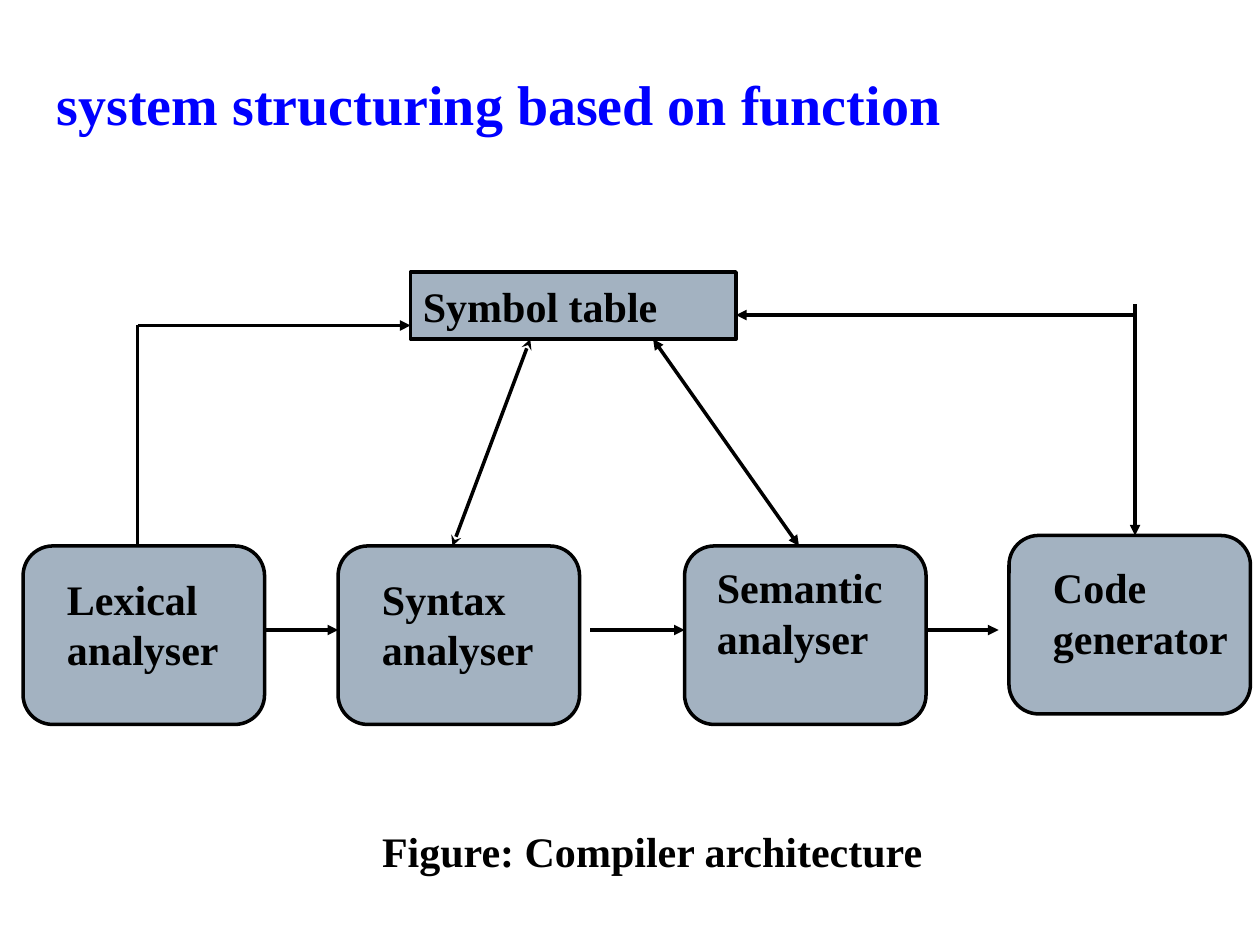
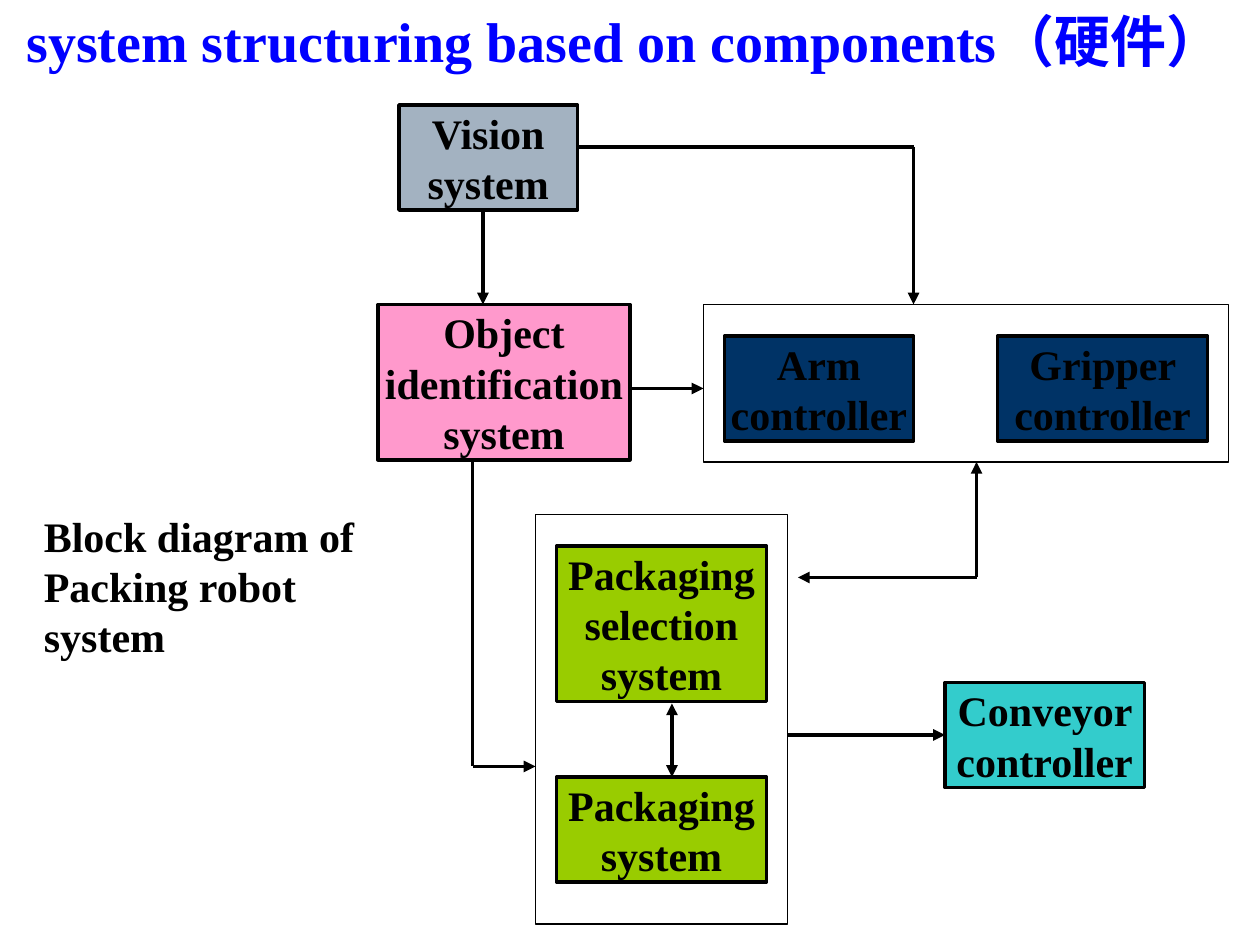
from dataclasses import dataclass

from lxml.etree import SubElement
from pptx import Presentation
from pptx.dml.color import RGBColor
from pptx.enum.shapes import MSO_CONNECTOR, MSO_SHAPE
from pptx.enum.text import MSO_ANCHOR, MSO_AUTO_SIZE, PP_ALIGN
from pptx.oxml.ns import qn
from pptx.shapes.autoshape import Shape
from pptx.slide import Slide
from pptx.text.text import TextFrame
from pptx.util import Emu, Pt

# Shared look
FONT = "Times New Roman"
BLACK = RGBColor(0x00, 0x00, 0x00)
BLUE = RGBColor(0x00, 0x00, 0xFF)
STEEL = RGBColor(0xA3, 0xB2, 0xC1)
PINK = RGBColor(0xFF, 0x99, 0xCC)
LIME = RGBColor(0x99, 0xCC, 0x00)
NAVY = RGBColor(0x00, 0x33, 0x66)
TEAL = RGBColor(0x33, 0xCC, 0xCC)

SCALE = 7620  # EMU per px, 120 px to the inch
PAD_X, PAD_Y = 12, 6


@dataclass
class Box:
    x: int
    y: int
    w: int
    h: int
    fill: RGBColor | None = None
    text: str = ""
    kind: MSO_SHAPE = MSO_SHAPE.RECTANGLE
    align: PP_ALIGN = PP_ALIGN.CENTER
    pad: int = 0
    line: float = 2

    def sites(self) -> list[tuple[int, int]]:
        """Side middles, in the order of the connection sites."""
        mid_x, mid_y = self.x + self.w // 2, self.y + self.h // 2
        return [(mid_x, self.y), (self.x, mid_y),
                (mid_x, self.y + self.h), (self.x + self.w, mid_y)]


@dataclass
class Label:
    x: int
    y: int
    w: int
    h: int
    text: str


@dataclass
class Link:
    start: tuple[int, int]
    end: tuple[int, int]
    head: str = ""
    tail: str = "triangle"


def px(num: int) -> Emu:
    return Emu(num * SCALE)


def write(frame: TextFrame, text: str, size: int = 24, color: RGBColor = BLACK,
          align: PP_ALIGN = PP_ALIGN.LEFT, pad: tuple[int, int] = (PAD_X, PAD_Y),
          anchor: MSO_ANCHOR = MSO_ANCHOR.TOP) -> None:
    frame.text = text
    frame.word_wrap = True
    frame.auto_size = MSO_AUTO_SIZE.NONE
    frame.vertical_anchor = anchor
    frame.margin_left = frame.margin_right = px(pad[0])
    frame.margin_top = frame.margin_bottom = px(pad[1])
    para = frame.paragraphs[0]
    para.alignment = align
    font = para.font
    font.name, font.size, font.bold = FONT, Pt(size), True
    font.color.rgb = color


def add_page(deck: Presentation, title: str, x: int, y: int) -> Slide:
    page = deck.slides.add_slide(deck.slide_layouts[5])
    head = page.shapes.title
    head.left, head.top = px(x), px(y)
    head.width, head.height = px(1200 - x), px(76)
    write(head.text_frame, title, 32, BLUE)
    return page


def draw_box(page: Slide, box: Box) -> Shape:
    shape = page.shapes.add_shape(
        box.kind, px(box.x), px(box.y), px(box.w), px(box.h))
    shape.shadow.inherit = False
    if box.fill is None:
        shape.fill.background()
    else:
        shape.fill.solid()
        shape.fill.fore_color.rgb = box.fill
    shape.line.color.rgb = BLACK
    shape.line.width = Pt(box.line)
    if box.text:
        write(shape.text_frame, box.text, align=box.align,
              pad=(box.pad, 0), anchor=MSO_ANCHOR.MIDDLE)
    return shape


def draw_label(page: Slide, label: Label) -> None:
    area = page.shapes.add_textbox(
        px(label.x), px(label.y), px(label.w), px(label.h))
    write(area.text_frame, label.text)


def draw_link(page: Slide, link: Link, width: float,
              nodes: list[tuple[Box, Shape]]) -> None:
    wire = page.shapes.add_connector(
        MSO_CONNECTOR.STRAIGHT, *map(px, link.start + link.end))
    wire.line.color.rgb = BLACK
    wire.line.width = Pt(width)
    edge = wire.line._get_or_add_ln()
    for tag, tip in (("a:headEnd", link.head), ("a:tailEnd", link.tail)):
        if tip:
            SubElement(edge, qn(tag), type=tip)
    SubElement(wire._element.spPr, qn("a:effectLst"))
    # Join ends that meet the middle of a side
    for box, shape in nodes:
        for site, spot in enumerate(box.sites()):
            if spot == link.start:
                wire.begin_connect(shape, site)
            if spot == link.end:
                wire.end_connect(shape, site)


def draw_all(page: Slide, boxes: list[Box], links: list[Link],
             labels: list[Label], width: float) -> None:
    nodes = [(box, draw_box(page, box)) for box in boxes]
    for link in links:
        draw_link(page, link, width, nodes)
    for label in labels:
        draw_label(page, label)


def add_stages(deck: Presentation) -> None:
    page = add_page(deck, "system structuring based on function", 42, 60)
    boxes = [Box(391, 259, 310, 64, STEEL, "Symbol table",
                 align=PP_ALIGN.LEFT, pad=PAD_X)]
    # Compiler stages
    boxes += [Box(x, y, 230, 170, STEEL, kind=MSO_SHAPE.ROUNDED_RECTANGLE)
              for x, y in ((322, 520), (652, 520), (961, 510), (22, 520))]
    labels = [
        Label(52, 540, 170, 108, "Lexical analyser"),
        Label(352, 540, 170, 108, "Syntax analyser"),
        Label(671, 529, 190, 108, "Semantic analyser"),
        Label(991, 529, 200, 108, "Code generator"),
        Label(352, 780, 630, 60, "Figure: Compiler architecture"),
    ]
    # Flow between stages, then links to the symbol table
    links = [Link((x, 600), (end, 600))
             for x, end in ((251, 322), (562, 652), (881, 951))]
    links += [
        Link((131, 520), (131, 310), tail=""),
        Link((131, 310), (391, 310)),
        Link((505, 323), (431, 520), "stealth", "stealth"),
        Link((622, 323), (761, 520), "triangle"),
        Link((1081, 300), (701, 300)),
        Link((1081, 290), (1081, 510)),
    ]
    draw_all(page, boxes, links, labels, 2)


def add_robot(deck: Presentation) -> None:
    page = add_page(deck, "system structuring based on components（硬件）", 13, 0)
    boxes = [
        Box(380, 100, 170, 100, STEEL, "Vision system"),
        Box(360, 290, 240, 148, PINK, "Object identification system"),
        Box(530, 520, 200, 148, LIME, "Packaging selection system"),
        Box(530, 740, 200, 100, LIME, "Packaging system"),
        Box(690, 320, 180, 100, NAVY, "Arm controller"),
        Box(950, 320, 200, 100, NAVY, "Gripper controller"),
        Box(900, 650, 190, 100, TEAL, "Conveyor controller"),
        # Frames around the controllers and the packaging systems
        Box(670, 290, 500, 150, line=0.75),
        Box(510, 490, 240, 390, line=0.75),
    ]
    links = [
        Link((460, 200), (460, 290)),
        Link((450, 440), (450, 730), tail=""),
        Link((450, 730), (510, 730)),
        Link((550, 140), (870, 140), tail=""),
        Link((870, 140), (870, 290)),
        Link((750, 700), (900, 700)),
        Link((600, 370), (670, 370)),
        Link((640, 670), (640, 740), "triangle"),
        Link((930, 550), (930, 440)),
        Link((930, 550), (760, 550)),
    ]
    labels = [Label(30, 480, 360, 180, "Block diagram of Packing robot system")]
    draw_all(page, boxes, links, labels, 2.25)


def main() -> None:
    deck = Presentation()
    deck.slide_width, deck.slide_height = px(1200), px(900)
    add_stages(deck)
    add_robot(deck)
    deck.save("out.pptx")


if __name__ == "__main__":
    main()
